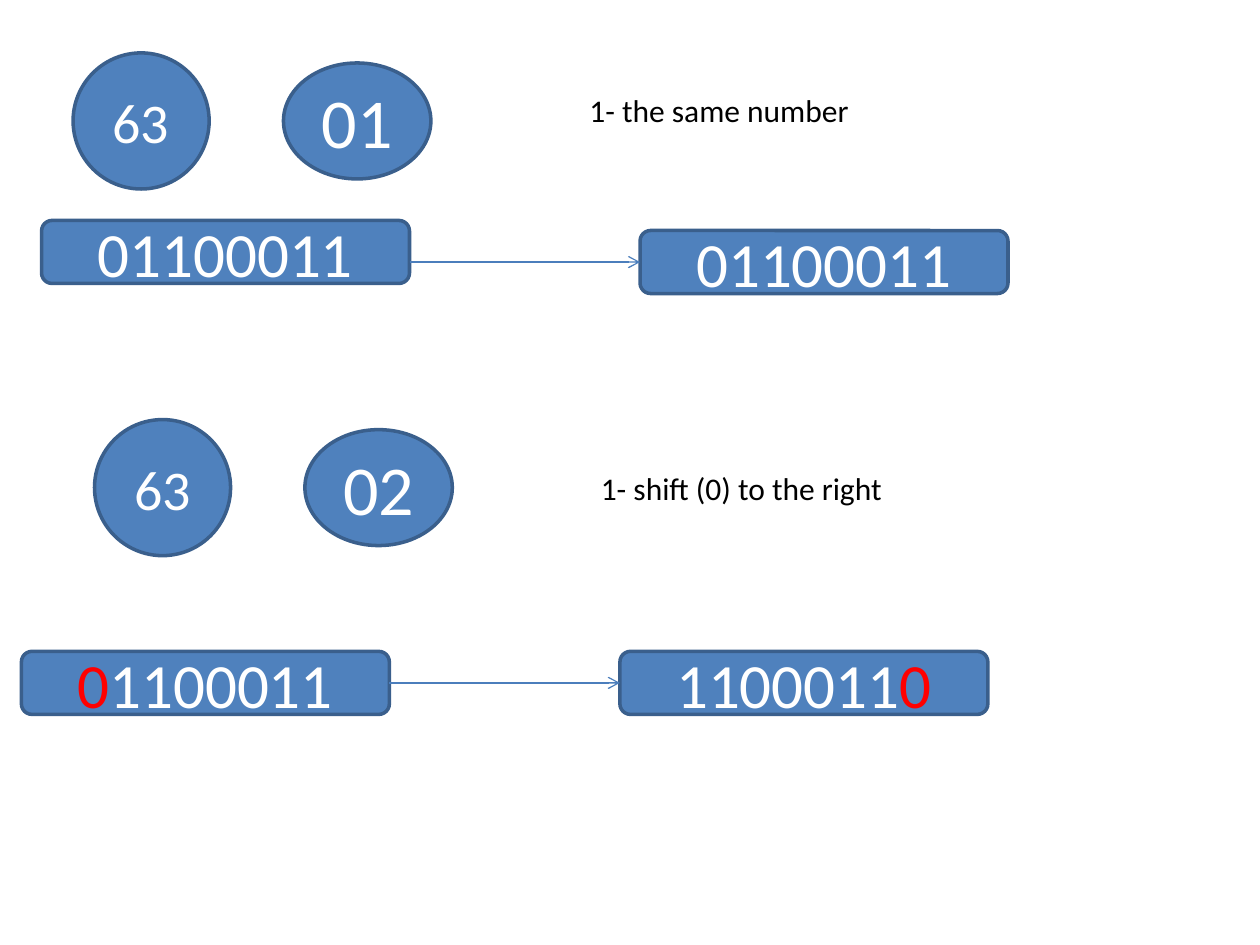
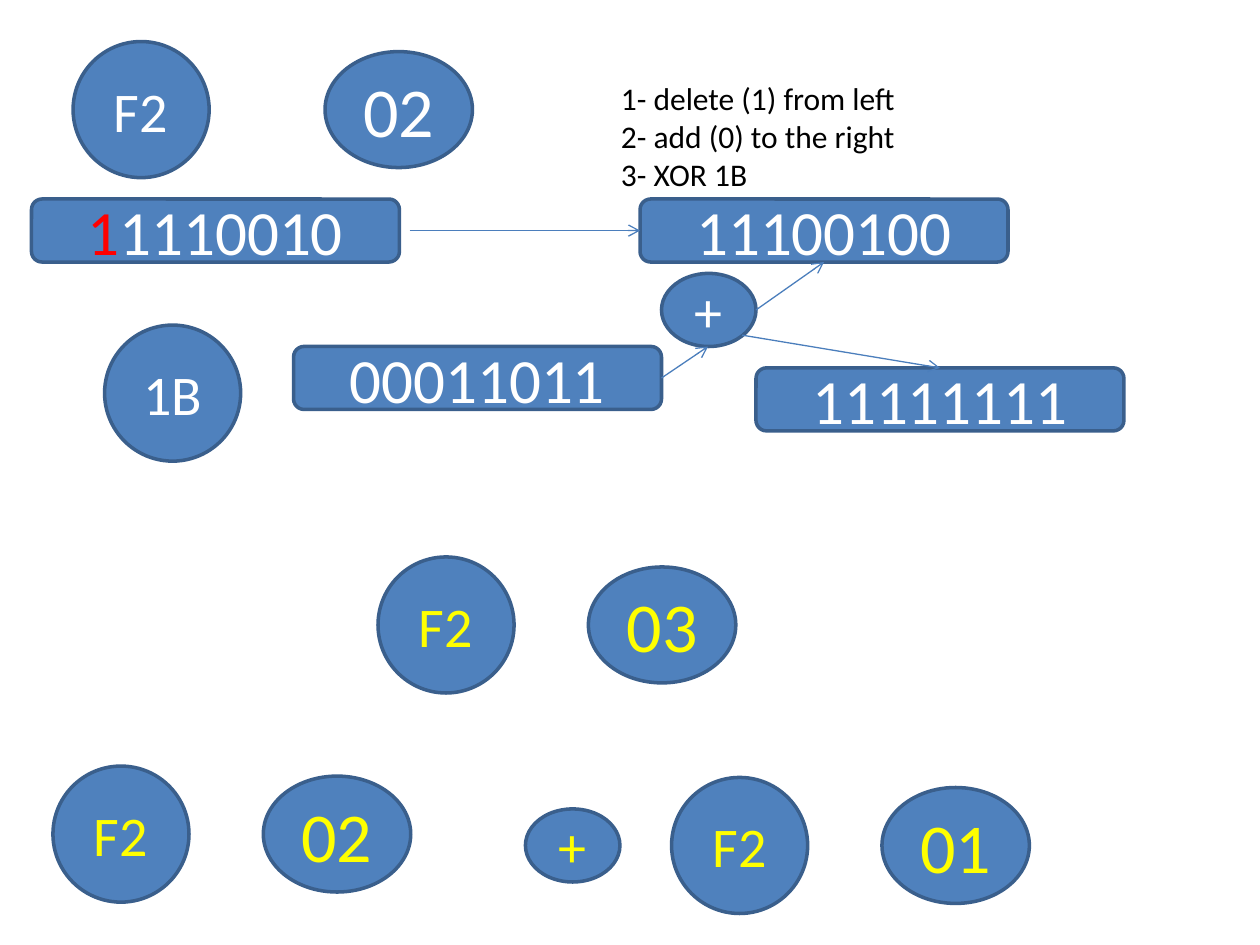
from lxml import etree
from pptx import Presentation
from pptx.dml.color import RGBColor
from pptx.enum.shapes import MSO_CONNECTOR, MSO_SHAPE
from pptx.enum.text import MSO_ANCHOR, MSO_AUTO_SIZE, PP_ALIGN
from pptx.oxml.ns import qn
from pptx.util import Inches, Pt

OVAL = MSO_SHAPE.OVAL
ROUNDED = MSO_SHAPE.ROUNDED_RECTANGLE
STRAIGHT = MSO_CONNECTOR.STRAIGHT
CENTER = PP_ALIGN.CENTER
MIDDLE = MSO_ANCHOR.MIDDLE
GROW = MSO_AUTO_SIZE.SHAPE_TO_FIT_TEXT

FONT = "Calibri"
BLUE, OUTLINE, ARROW = "4F81BD", "3A5F8C", "4B7EBC"
WHITE, BLACK, RED, YELLOW = "FFFFFF", "000000", "FF0000", "FFFF00"
TOP, LEFT, BOTTOM, RIGHT = range(4)


def rgb(hex_code):
    """Turn a hex string into a colour."""
    return RGBColor.from_string(hex_code)


def set_font(font, size, color):
    """Apply the deck's font with a size and colour."""
    font.name = FONT
    font.size = Pt(size)
    font.color.rgb = rgb(color)


def node(slide, preset, x, y, width, height, size, color, *parts):
    """Draw a blue shape with centred text; each part is (text, colour)."""
    shape = slide.shapes.add_shape(
        preset, Inches(x), Inches(y), Inches(width), Inches(height))
    shape.shadow.inherit = False
    shape.fill.solid()
    shape.fill.fore_color.rgb = rgb(BLUE)
    shape.line.color.rgb = rgb(OUTLINE)
    shape.line.width = Pt(2)
    shape.text_frame.vertical_anchor = MIDDLE
    paragraph = shape.text_frame.paragraphs[0]
    paragraph.alignment = CENTER
    set_font(paragraph.font, size, color)
    for text, part_color in parts:
        run = paragraph.add_run()
        run.text = text
        if part_color != color:
            run.font.color.rgb = rgb(part_color)
    return shape


def byte_circle(slide, x, y, text, color=WHITE):
    """Draw the large circle that holds a hex byte."""
    node(slide, OVAL, x, y, 1.08, 1.08, 32, color, (text, color))


def factor_oval(slide, x, y, text, color=WHITE):
    """Draw the oval that holds a multiplier."""
    node(slide, OVAL, x, y, 1.17, 0.92, 40, color, (text, color))


def product(slide, x, y, byte, factor, color=WHITE, gap=1.67):
    """Draw a byte and, slightly lower to its right, its multiplier."""
    byte_circle(slide, x, y, byte, color)
    factor_oval(slide, x + gap, y + 0.08, factor, color)


def plus_oval(slide, x, y, color=WHITE):
    """Draw the small oval with a plus sign."""
    node(slide, OVAL, x, y, 0.75, 0.58, 32, color, ("+", color))


def bit_box(slide, x, y, bits, red_head="", red_tail=""):
    """Draw a box of bits with optional red bits at either end."""
    parts = [(red_head, RED), (bits, WHITE), (red_tail, RED)]
    return node(slide, ROUNDED, x, y, 2.92, 0.5, 36, WHITE,
                *[part for part in parts if part[0]])


def steps(slide, x, y, height, *lines):
    """Write the explanatory steps, one paragraph each."""
    box = slide.shapes.add_textbox(
        Inches(x), Inches(y), Inches(3.5), Inches(height))
    frame = box.text_frame
    frame.word_wrap = True
    frame.auto_size = GROW
    frame.text = "\n".join(lines)
    for paragraph in frame.paragraphs:
        set_font(paragraph.font, 18, BLACK)


def arrow(slide, start, end, source=None, target=None, target_side=LEFT):
    """Draw an arrow, joined to a source's right or a target's given side."""
    line = slide.shapes.add_connector(
        STRAIGHT, *[Inches(value) for value in (*start, *end)])
    if source is not None:
        line.begin_connect(source, RIGHT)
    if target is not None:
        line.end_connect(target, target_side)
    line.line.color.rgb = rgb(ARROW)
    line.line.width = Pt(0.75)
    outline = line.line._get_or_add_ln()
    etree.SubElement(outline, qn("a:tailEnd"), type="arrow")
    etree.SubElement(line._element.spPr, qn("a:effectLst"))


def multiply_63(slide):
    """Show 63 times 01 and 63 times 02."""
    product(slide, 0.75, 3.33, "63", "02")
    shift_input = bit_box(slide, 0.17, 5.17, "1100011", red_head="0")
    steps(slide, 4.67, 3.67, 0.4, "1- shift (0) to the right")
    shift_output = bit_box(slide, 4.92, 5.17, "1100011", red_tail="0")
    arrow(slide, (3.08, 5.42), (4.92, 5.42), shift_input, shift_output)

    product(slide, 0.58, 0.42, "63", "01")
    bit_box(slide, 0.33, 1.75, "01100011")
    same_output = bit_box(slide, 5.08, 1.83, "01100011")
    arrow(slide, (3.25, 2.08), (5.08, 2.08), target=same_output)
    steps(slide, 4.58, 0.67, 0.4, "1- the same number")


def multiply_f2(slide):
    """Show F2 times 02 with the 1B reduction, then F2 times 03 as a sum."""
    product(slide, 0.58, 0.33, "F2", "02", gap=2)
    bit_box(slide, 0.25, 1.58, "1110010", red_head="1")
    steps(slide, 4.83, 0.58, 1.01, "1- delete (1) from left",
          "2- add (0) to the right", "3- XOR 1B")
    shifted = bit_box(slide, 5.08, 1.58, "11100100")
    arrow(slide, (3.25, 1.83), (5.08, 1.83), target=shifted)

    byte_circle(slide, 0.83, 2.58, "1B")
    reducer = bit_box(slide, 2.33, 2.75, "00011011")
    xor_result = bit_box(slide, 6, 2.92, "11111111")
    plus_oval(slide, 5.25, 2.17)
    arrow(slide, (5.25, 3), (5.62, 2.75), source=reducer)
    arrow(slide, (6, 2.46), (6.54, 2.08), target=shifted, target_side=BOTTOM)
    arrow(slide, (5.89, 2.66), (7.46, 2.92), target=xor_result, target_side=TOP)

    product(slide, 3, 4.42, "F2", "03", YELLOW)
    product(slide, 0.42, 6.08, "F2", "02", YELLOW)
    product(slide, 5.33, 6.17, "F2", "01", YELLOW)
    plus_oval(slide, 4.17, 6.42, YELLOW)


def main():
    """Build and save the two slides."""
    deck = Presentation()
    deck.slide_width = Inches(10)
    deck.slide_height = Inches(7.5)
    blank = deck.slide_layouts[6]
    for build in (multiply_63, multiply_f2):
        build(deck.slides.add_slide(blank))
    deck.save("out.pptx")


if __name__ == "__main__":
    main()
